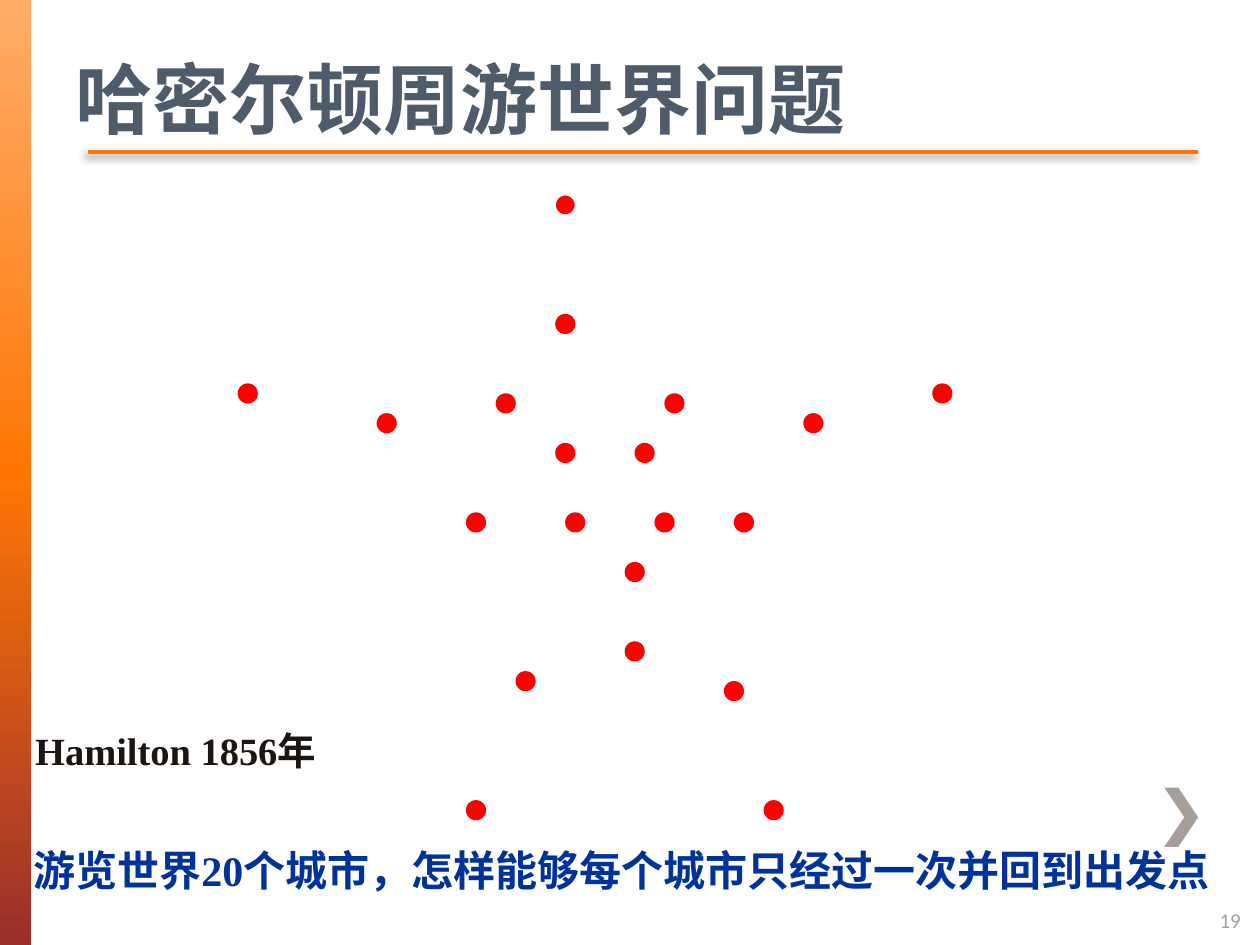
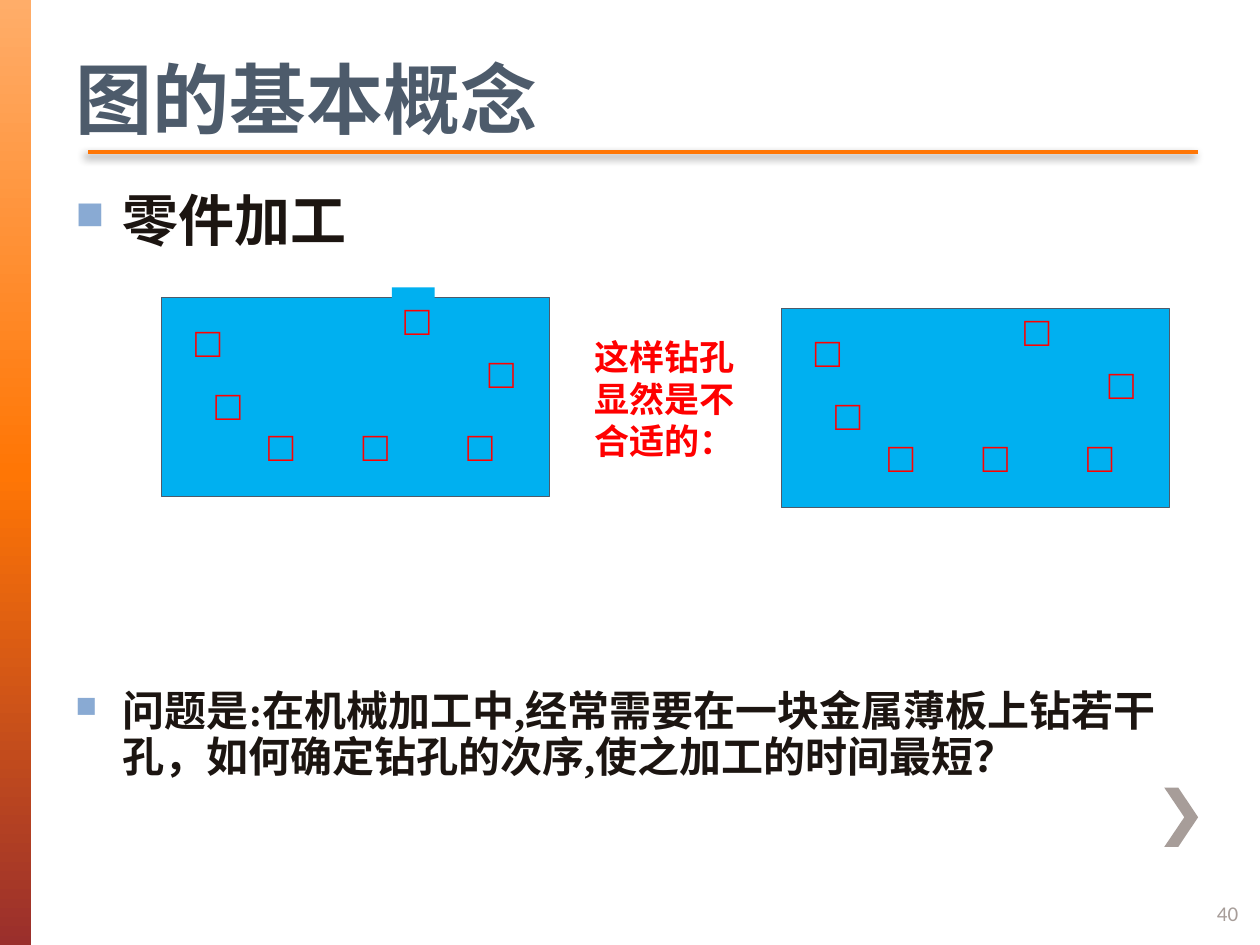
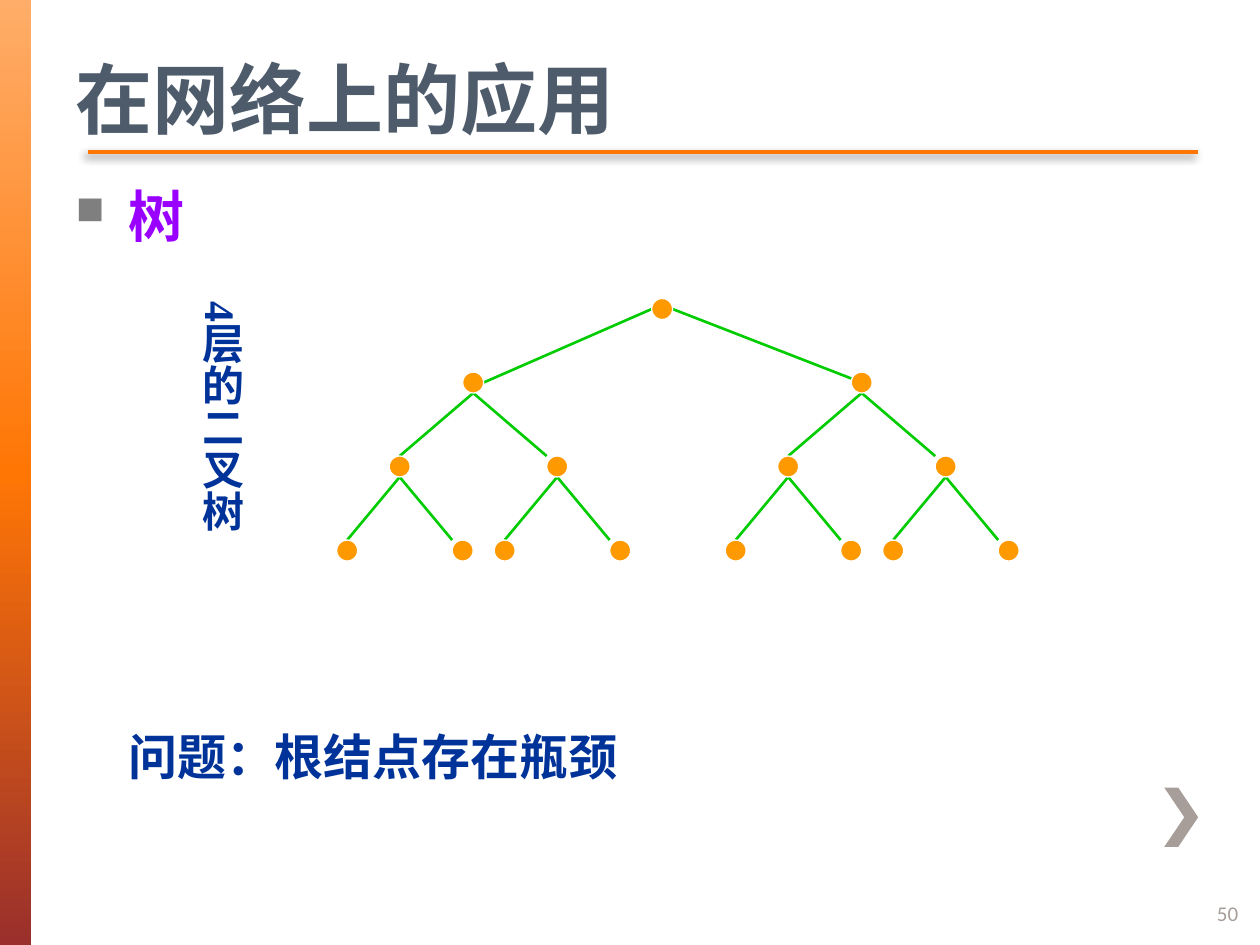
from copy import deepcopy

from lxml import etree
from pptx import Presentation
from pptx.dml.color import RGBColor
from pptx.enum.lang import MSO_LANGUAGE_ID as LANGUAGE
from pptx.enum.shapes import MSO_CONNECTOR as CONNECTOR, MSO_SHAPE as SHAPE
from pptx.enum.text import MSO_ANCHOR as ANCHOR, PP_ALIGN as ALIGN
from pptx.oxml import parse_xml
from pptx.oxml.ns import nsdecls, qn
from pptx.util import Pt

WIDTH, HEIGHT = 720, 540
ORANGE, GREY, SLATE, INK = "FF7605", "A79D99", "4D5B6B", "1C1511"
RED, BLUE, PURPLE = "FF0000", "003399", "9900FF"
PLATE, NODE, EDGE, WHITE = "00B0F0", "FF9900", "00CC00", "FFFFFF"
BAND_STOPS = [(0, "FFAD69"), (50, ORANGE), (100, "9A2F2C")]
HEAD_FONT, BODY_FONT = "Calibri", "Times New Roman"


def colour(value):
    return RGBColor.from_string(value)


# Basic parts

def add_solid(slide, kind, box, fill=None, line=None):
    shape = slide.shapes.add_shape(kind, *map(Pt, box))
    shape.shadow.inherit = False
    if fill:
        shape.fill.solid()
        shape.fill.fore_color.rgb = colour(fill)
    else:
        shape.fill.background()
    if line:
        shape.line.color.rgb = colour(line)
        shape.line.width = Pt(0.75)
    else:
        shape.line.fill.background()
    return shape


def add_dot(slide, centre, size, fill, line=None):
    x, y = centre
    add_solid(slide, SHAPE.OVAL, (x - size / 2, y - size / 2, size, size), fill, line)


def add_line(slide, start, end, line, width):
    connector = slide.shapes.add_connector(CONNECTOR.STRAIGHT, *map(Pt, start + end))
    connector.line.color.rgb = colour(line)
    connector.line.width = Pt(width)
    effects = etree.SubElement(connector._element.spPr, qn("a:effectLst"))
    return effects


def write(frame, text, size, ink, font=BODY_FONT, bold=True):
    frame.word_wrap = True
    paragraph = frame.paragraphs[0]
    paragraph.alignment = ALIGN.LEFT
    run = paragraph.add_run()
    run.text = text
    run.font.size = Pt(size)
    run.font.name = font
    run.font.bold = bold
    run.font.color.rgb = colour(ink)
    run.font.language_id = LANGUAGE.SIMPLIFIED_CHINESE
    return paragraph


def add_text(slide, box, text, size, ink, font=BODY_FONT, bold=True):
    frame = slide.shapes.add_textbox(*map(Pt, box)).text_frame
    write(frame, text, size, ink, font, bold)
    return frame


def add_bullet(paragraph, ink, indent):
    properties = paragraph._p.get_or_add_pPr()
    properties.set("marL", str(Pt(indent)))
    properties.set("indent", str(-Pt(indent)))
    for xml in (f'<a:buClr {nsdecls("a")}><a:srgbClr val="{ink}"/></a:buClr>',
                f'<a:buSzPct {nsdecls("a")} val="70000"/>',
                f'<a:buChar {nsdecls("a")} char="■"/>'):
        properties.append(parse_xml(xml))


# Frame shared by all slides

def add_band(slide, box):
    band = add_solid(slide, SHAPE.RECTANGLE, box)
    band.fill.gradient()
    band.fill.gradient_angle = 270
    stop_list = band._element.spPr.find(qn("a:gradFill")).find(qn("a:gsLst"))
    template = deepcopy(stop_list[0])
    for stop in list(stop_list):
        stop_list.remove(stop)
    for position, value in BAND_STOPS:
        stop = deepcopy(template)
        stop.set("pos", str(position * 1000))
        for child in list(stop):
            stop.remove(child)
        etree.SubElement(stop, qn("a:srgbClr")).set("val", value)
        stop_list.append(stop)


def add_chevron(slide, left, top):
    outline = [(8, 0), (0, 0), (11.5, 17), (0, 34), (8, 34), (19.4, 17)]
    points = [(Pt(left + x), Pt(top + y)) for x, y in outline]
    builder = slide.shapes.build_freeform(*points[0])
    builder.add_line_segments(points[1:], close=True)
    chevron = builder.convert_to_shape()
    chevron.shadow.inherit = False
    chevron.fill.solid()
    chevron.fill.fore_color.rgb = colour(GREY)
    chevron.line.fill.background()


def add_title_rule(slide, left, right, y):
    effects = add_line(slide, (left, y), (right, y), ORANGE, 2.5)
    effects.append(parse_xml(
        f'<a:outerShdw {nsdecls("a")} blurRad="{Pt(5)}" dist="{Pt(3)}" dir="8100000" '
        'algn="tl" rotWithShape="0"><a:srgbClr val="000000"><a:alpha val="45000"/>'
        '</a:srgbClr></a:outerShdw>'))


def add_framed_slide(presentation, title, number, number_at=(688.3, 507.6)):
    slide = presentation.slides.add_slide(presentation.slide_layouts[6])
    add_band(slide, (0, 0, 18, HEIGHT))
    add_chevron(slide, 665.3, 450)
    add_title_rule(slide, 50.4, 684.7, 87)
    add_text(slide, (36, 26, 648, 57), title, 44, SLATE, HEAD_FONT)
    frame = add_text(slide, (*number_at, 30.2, 28.8), number, 12, GREY, HEAD_FONT, False)
    frame.vertical_anchor = ANCHOR.MIDDLE
    return slide


# Cities to visit, on a 2 mm grid

CITY_STEP, CITY_SIZE = 5.67, 11.5
FIRST_CITY = (32, 0)
CITIES = [(0, 19), (70, 19), (23, 61), (53, 61), (32, 12), (14, 22), (57, 22),
          (28, 48), (49, 49), (32, 25), (43, 20), (23, 32), (50, 32), (26, 20),
          (39, 45), (39, 37), (33, 32), (40, 25), (42, 32)]


def add_cities(slide, left, top):
    for city in [FIRST_CITY] + CITIES:
        column, row = city
        add_dot(slide, (left + column * CITY_STEP, top + row * CITY_STEP), CITY_SIZE,
                RED, WHITE if city == FIRST_CITY else None)


def build_hamilton_slide(presentation):
    slide = add_framed_slide(presentation, "哈密尔顿周游世界问题", "19", (689.8, 511.2))
    add_cities(slide, 141.6, 117.1)
    add_text(slide, (12, 478.8, 708, 36),
             "游览世界20个城市，怎样能够每个城市只经过一次并回到出发点", 24, BLUE)
    add_text(slide, (13, 411.8, 195, 34), "Hamilton 1856年", 22, INK)


# Metal plate with drill holes

HOLES = [(12.2, 6.5), (23.8, 42.5), (54, 66.2), (131.8, -5.8),
         (108, 66.2), (180, 24.5), (167.8, 66.2)]


def add_plate(slide, left, top, hole_fill=None):
    add_solid(slide, SHAPE.RECTANGLE, (left, top, 221.8, 113.8), PLATE, SLATE)
    for x, y in HOLES:
        hole = add_solid(slide, SHAPE.RECTANGLE, (left + x, top + y, 24.5, 36), hole_fill)
        frame = hole.text_frame
        frame.margin_right = 0
        frame.vertical_anchor = ANCHOR.TOP
        write(frame, "□", 24, RED)


def build_drilling_slide(presentation):
    slide = add_framed_slide(presentation, "图的基本概念", "40")
    question = "问题是:在机械加工中,经常需要在一块金属薄板上钻若干孔，如何确定钻孔的次序,使之加工的时间最短？"
    for top, height, text, size in [(107, 50, "零件加工", 32), (391, 64, question, 24)]:
        paragraph = add_text(slide, (36, top, 648, height), text, size, INK).paragraphs[0]
        add_bullet(paragraph, "89AAD3", 27)
        paragraph.line_spacing = 0.9
    add_plate(slide, 92.2, 170, PLATE)
    add_plate(slide, 446.4, 176.2)
    remark = add_text(slide, (332, 188, 95.8, 79), "这样钻孔显然是不合适的：", 20, RED)
    remark.paragraphs[0].alignment = ALIGN.CENTER


# Binary tree: left reach, right reach and drop to each next level

LEVELS = [(108, 114, 42), (42, 48, 48), (30, 36, 48)]
NODE_SIZE, RADIUS = 12, 6


def add_tree(slide, x, y, depth=0):
    if depth < len(LEVELS):
        reach_left, reach_right, drop = LEVELS[depth]
        left, right, below = x - reach_left, x + reach_right, y + drop
        if depth == 0:
            edges = [((x - RADIUS, y), (left + RADIUS, below)),
                     ((x + RADIUS, y), (right, below))]
        else:
            edges = [((x, y + RADIUS), (left, below - RADIUS)),
                     ((x, y + RADIUS), (right - RADIUS, below - RADIUS))]
        for start, end in edges:
            add_line(slide, start, end, EDGE, 1.5)
        for child in (left, right):
            add_tree(slide, child, below, depth + 1)
    add_dot(slide, (x, y), NODE_SIZE, NODE, WHITE)


def build_tree_slide(presentation):
    slide = add_framed_slide(presentation, "在网络上的应用", "50")
    heading = add_text(slide, (0, 100, 690, 54), "树", 32, PURPLE)
    add_bullet(heading.paragraphs[0], "7F7F7F", 30)
    heading.margin_left = Pt(43.2)
    add_tree(slide, 378.4, 176.6)
    label = add_text(slide, (100.8, 165, 44, 162), "4层的二叉树", 24, BLUE)
    label._txBody.bodyPr.set("vert", "eaVert")
    add_text(slide, (66.2, 411.8, 620, 48), "问题：根结点存在瓶颈", 28, BLUE)


def main():
    presentation = Presentation()
    presentation.slide_width, presentation.slide_height = Pt(WIDTH), Pt(HEIGHT)
    build_hamilton_slide(presentation)
    build_drilling_slide(presentation)
    build_tree_slide(presentation)
    presentation.save("out.pptx")


if __name__ == "__main__":
    main()
